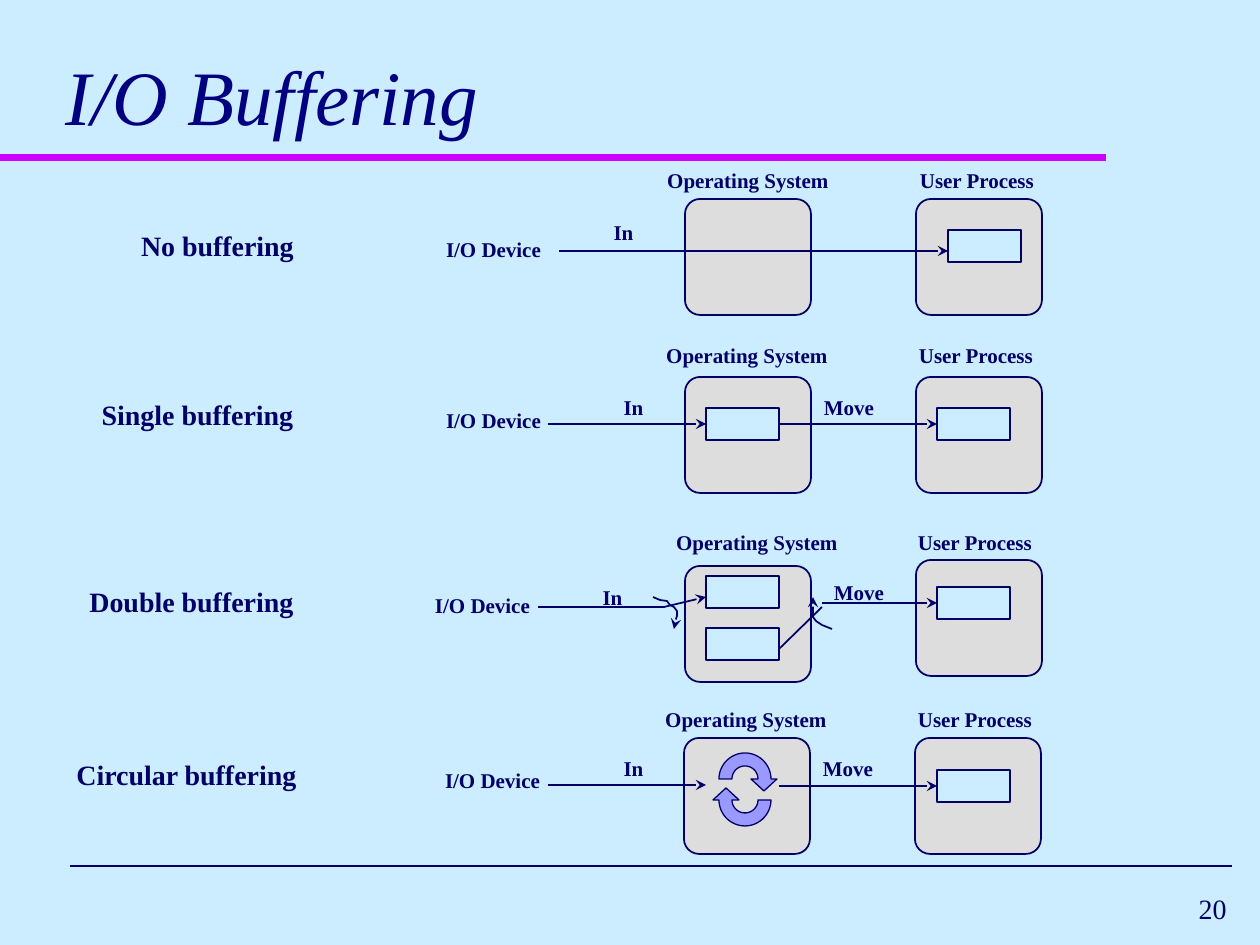
"""Build the I/O Buffering slide comparing four buffering schemes."""
import math

import lxml.etree
import pptx
import pptx.dml.color
import pptx.enum.shapes
import pptx.enum.text
import pptx.oxml.ns
import pptx.util

PX = 914400 / 126
NAVY, SKY, GREY = "000066", "CCECFF", "DDDDDD"
SHAPE = pptx.enum.shapes.MSO_SHAPE
ALIGN = pptx.enum.text.PP_ALIGN
ANCHOR = pptx.enum.text.MSO_ANCHOR
STRAIGHT = pptx.enum.shapes.MSO_CONNECTOR.STRAIGHT
qn = pptx.oxml.ns.qn
color = pptx.dml.color.RGBColor.from_string


def emu(*lengths):
    return [round(length * PX) for length in lengths]


def draw_line(item, ink=NAVY, weight=1, arrow=False):
    item.line.color.rgb = color(ink)
    item.line.width = pptx.util.Pt(weight)
    properties = item._element.spPr
    if arrow:
        lxml.etree.SubElement(properties.find(qn("a:ln")), qn("a:tailEnd"), type="stealth")
    lxml.etree.SubElement(properties, qn("a:effectLst"))


deck = pptx.Presentation()
deck.slide_width, deck.slide_height = emu(1260, 945)
slide = deck.slides.add_slide(deck.slide_layouts[5])
slide.background.fill.solid()
slide.background.fill.fore_color.rgb = color(SKY)
shapes = slide.shapes

title = shapes.title
title.left, title.top, title.width, title.height = emu(53, 21, 1166, 126)
title.text_frame.auto_size = pptx.enum.text.MSO_AUTO_SIZE.NONE
title.text_frame.vertical_anchor = ANCHOR.BOTTOM
heading = title.text_frame.paragraphs[0]
heading.alignment = ALIGN.LEFT
heading_run = heading.add_run()
heading_run.text = "I/O Buffering"
heading_run.font.name = "Times New Roman"
heading_run.font.size = pptx.util.Pt(44)
heading_run.font.italic = True
heading_run.font.color.rgb = color("000080")

for ends, ink, weight in [((0, 158, 1106, 158), "CC00FF", 4), ((70, 866, 1232, 866), NAVY, 1)]:
    draw_line(shapes.add_connector(STRAIGHT, *emu(*ends)), ink, weight)

for left, top in [(685, 199), (916, 199), (685, 377), (916, 377),
                  (685, 566), (916, 560), (684, 738), (915, 738)]:
    system = shapes.add_shape(SHAPE.ROUNDED_RECTANGLE, *emu(left, top, 126, 116))
    system.adjustments[0] = 0.13
    system.fill.solid()
    system.fill.fore_color.rgb = color(GREY)
    draw_line(system)

BUFFER_WIDTH, BUFFER_HEIGHT = 73, 32
buffers = {}
for left, top in [(948, 230), (706, 408), (937, 408), (706, 576),
                  (706, 628), (937, 587), (937, 770)]:
    buffer = shapes.add_shape(SHAPE.RECTANGLE, *emu(left, top, BUFFER_WIDTH, BUFFER_HEIGHT))
    buffer.fill.solid()
    buffer.fill.fore_color.rgb = color(SKY)
    draw_line(buffer)
    buffers[left, top + BUFFER_HEIGHT // 2] = buffer

for ends, arrow in [
    ((559, 251, 948, 251), True),
    ((548, 424, 706, 424), True),
    ((779, 424, 937, 424), True),
    ((538, 607, 664, 607), False),
    ((664, 607, 706, 597), True),
    ((779, 649, 822, 607), False),
    ((822, 603, 937, 603), True),
    ((548, 785, 706, 785), True),
    ((779, 786, 937, 786), True),
]:
    flow = shapes.add_connector(STRAIGHT, *emu(*ends))
    source = buffers.get((ends[0] - BUFFER_WIDTH, ends[1]))
    target = buffers.get(ends[2:])
    if source:
        flow.begin_connect(source, 3)
    if target:
        flow.end_connect(target, 1)
    draw_line(flow, arrow=arrow)

for points in [
    [(653, 597), (660, 600), (667, 601), (670, 605), (674, 607),
     (677, 611), (677, 616), (675, 622), (674, 629)],
    [(832, 629), (822, 625), (816, 621), (813, 617), (813, 614), (813, 607), (813, 597)],
]:
    builder = shapes.build_freeform(*points[0], scale=PX)
    builder.add_line_segments(points[1:], close=False)
    switch = builder.convert_to_shape()
    switch.fill.background()
    draw_line(switch, arrow=True)

angles = [math.radians(step) for step in range(0, 181, 6)]
half_ring = [(13 * math.cos(a), -13 * math.sin(a)) for a in angles]
half_ring += [(26 * math.cos(a), -26 * math.sin(a)) for a in reversed(angles)]
half_ring += [(32, 0), (19, 12), (6, 0)]
for center_x, center_y, turn in [(745, 779, 1), (745, 800, -1)]:
    points = [emu(center_x + turn * x, center_y + turn * y) for x, y in half_ring]
    builder = shapes.build_freeform(*points[0])
    builder.add_line_segments(points[1:])
    cycle = builder.convert_to_shape()
    cycle.fill.solid()
    cycle.fill.fore_color.rgb = color("9999FF")
    draw_line(cycle, weight=0.75)

labels = [
    ("No buffering", 16, 179, 47, [(128, 222)]),
    ("Single buffering", 16, 217, 47, [(89, 391)]),
    ("Double buffering", 16, 229, 47, [(77, 578)]),
    ("Circular buffering", 16, 247, 47, [(63, 751)]),
    ("Operating System", 12, 200, 38, [(648, 161), (647, 336), (657, 523), (646, 700)]),
    ("User Process", 12, 140, 38, [(907, 161), (906, 336), (905, 523), (905, 700)]),
    ("I/O Device", 12, 121, 38, [(433, 230), (433, 401), (422, 586), (432, 761)]),
    ("In", 12, 45, 38, [(601, 213), (611, 388), (590, 578), (611, 749)]),
    ("Move", 12, 76, 38, [(811, 388), (821, 573), (810, 749)]),
    ("20", 16, 262, 53, [(977, 882)]),
]
for wording, size, width, height, places in labels:
    is_page_number = wording == "20"
    for left, top in places:
        label = shapes.add_textbox(*emu(left, top, width, height)).text_frame
        label.word_wrap = is_page_number
        label.vertical_anchor = ANCHOR.MIDDLE if is_page_number else ANCHOR.TOP
        line = label.paragraphs[0]
        line.alignment = ALIGN.RIGHT if is_page_number else ALIGN.CENTER
        run = line.add_run()
        run.text = wording
        run.font.name = "Times New Roman"
        run.font.size = pptx.util.Pt(size)
        run.font.bold = not is_page_number
        run.font.color.rgb = color(NAVY)

deck.save("out.pptx")
